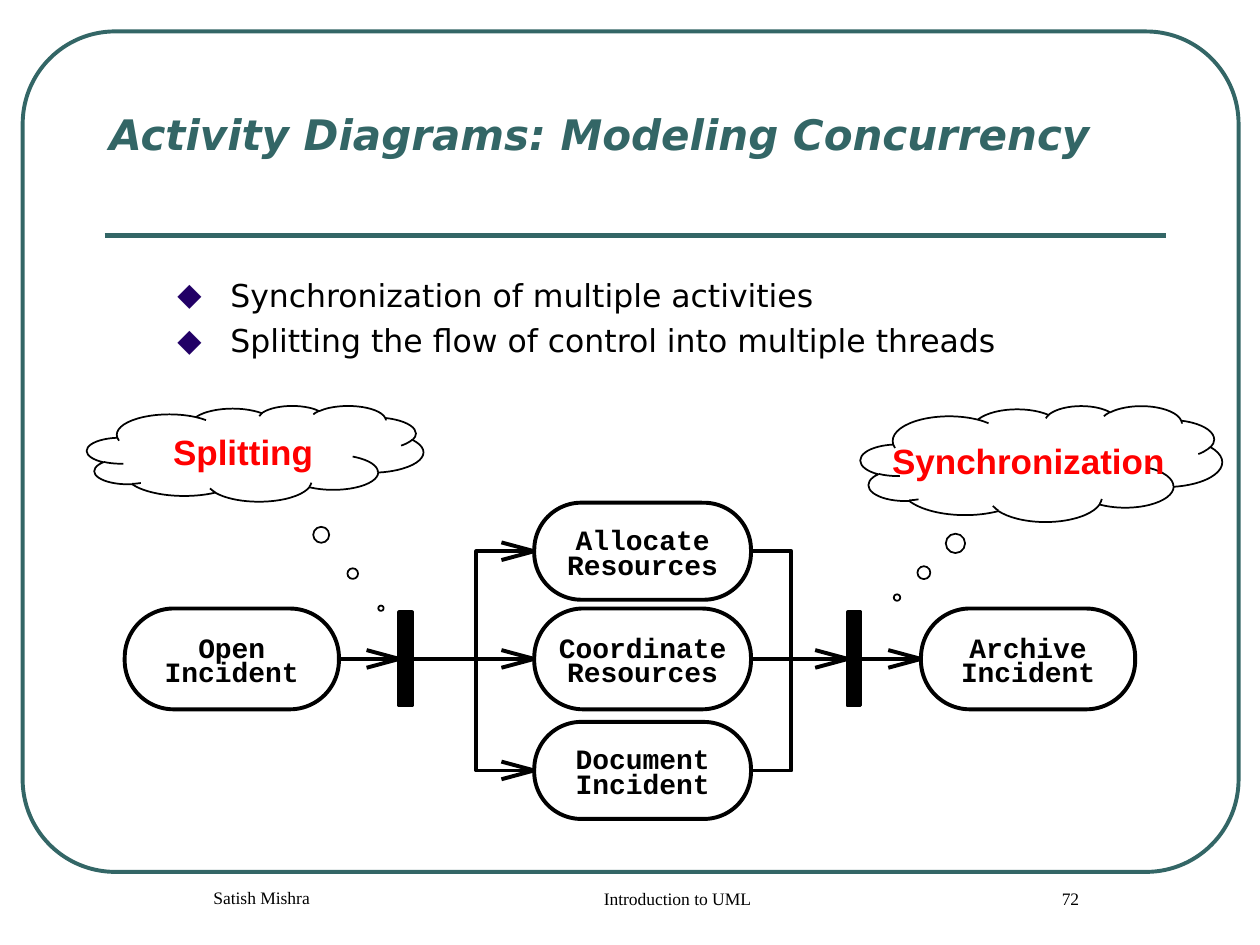
from lxml.etree import SubElement
from pptx import Presentation
from pptx.dml.color import RGBColor as RGB
from pptx.enum.shapes import MSO_CONNECTOR as CONN, MSO_SHAPE as SHAPE
from pptx.enum.text import MSO_ANCHOR as ANCHOR, PP_ALIGN as ALIGN
from pptx.oxml.ns import qn
from pptx.util import Inches, Pt

THEME = {
    "teal": RGB(0x33, 0x66, 0x66),
    "black": RGB(0, 0, 0),
    "white": RGB(255, 255, 255),
    "red": RGB(255, 0, 0),
    "bullet": "220066",
    "title": {"name": "DejaVu Sans", "size": Pt(24), "bold": True, "italic": True},
    "body": {"name": "DejaVu Sans", "size": Pt(18)},
    "cloud": {"name": "Arial", "size": Pt(20), "bold": True},
    "node": {"name": "Courier New", "size": Pt(16), "bold": True},
    "footer": {"name": "Times New Roman", "size": Pt(10)},
}


def style(s, line="black", width=2.25, fill=None):
    s.line.color.rgb = THEME[line]
    s.line.width = Pt(width)
    if hasattr(s, "fill"):
        s.shadow.inherit = False
        if fill:
            s.fill.solid()
            s.fill.fore_color.rgb = THEME[fill]
        else:
            s.fill.background()
    else:
        SubElement(s._element.spPr, qn("a:effectLst"))


def write(s, lines, kind, color="black", bullet=False, **frame):
    tf = s.text_frame
    layout = {"word_wrap": True, "vertical_anchor": ANCHOR.TOP, "align": ALIGN.LEFT} | frame
    align = layout.pop("align")
    spacing = layout.pop("line_spacing", None)
    for key, value in layout.items():
        setattr(tf, key, value)
    for i, line in enumerate(lines):
        p = tf.paragraphs[0] if i == 0 else tf.add_paragraph()
        p.alignment = align
        p.line_spacing = spacing
        if bullet:
            p.space_before = Pt(4.5 if i else 0)
            pPr = p._p.get_or_add_pPr()
            pPr.set("marL", str(Inches(0.42)))
            pPr.set("indent", str(-Inches(0.42)))
            color_el = SubElement(pPr, qn("a:buClr"))
            SubElement(color_el, qn("a:srgbClr"), val=THEME["bullet"])
            SubElement(pPr, qn("a:buFont"), typeface=THEME[kind]["name"])
            SubElement(pPr, qn("a:buChar"), char="◆")
        r = p.add_run()
        r.text = line
        for key, value in THEME[kind].items():
            setattr(r.font, key, value)
        r.font.color.rgb = THEME[color]


prs = Presentation()
prs.slide_width, prs.slide_height = Inches(10), Inches(7.5)
sp = prs.slides.add_slide(prs.slide_layouts[6]).shapes

frame = sp.add_shape(SHAPE.ROUNDED_RECTANGLE, Inches(0.18), Inches(0.25), Inches(9.65), Inches(6.67))
frame.adjustments[0] = 0.11
style(frame, "teal")
rule = sp.add_connector(CONN.STRAIGHT, Inches(0.83), Inches(1.87), Inches(9.25), Inches(1.87))
style(rule, "teal", 3)

title = sp.add_textbox(Inches(0.77), Inches(0.81), Inches(8.7), Inches(0.82))
write(title, ["Activity Diagrams: Modeling Concurrency"], "title", "teal")
body = sp.add_textbox(Inches(1.31), Inches(2.14), Inches(8.39), Inches(1))
write(body, ["Synchronization of multiple activities",
             "Splitting the flow of control into multiple threads"], "body", bullet=True)

for text, x, w, h, tip in [
    ("Synchronization", 6.83, 2.87, 0.92, (-0.399, 1.155)),
    ("Splitting", 0.69, 2.67, 0.76, (0.374, 1.616)),
]:
    s = sp.add_shape(SHAPE.CLOUD_CALLOUT, Inches(x), Inches(3.22), Inches(w), Inches(h))
    s.adjustments[0], s.adjustments[1] = tip
    style(s, width=1, fill="white")
    write(s, [text], "cloud", "red", align=ALIGN.CENTER, vertical_anchor=ANCHOR.MIDDLE, word_wrap=False)

nodes = {}
for first, second, x, y, w, h in [
    ("Open", "Incident", 0.99, 4.83, 1.7, 0.8),
    ("Allocate", "Resources", 4.24, 3.99, 1.72, 0.77),
    ("Coordinate", "Resources", 4.24, 4.83, 1.72, 0.8),
    ("Document", "Incident", 4.24, 5.73, 1.72, 0.77),
    ("Archive", "Incident", 7.31, 4.83, 1.7, 0.8),
]:
    s = sp.add_shape(SHAPE.ROUNDED_RECTANGLE, Inches(x), Inches(y), Inches(w), Inches(h))
    s.adjustments[0] = 0.485
    style(s, fill="white")
    write(s, [first, second], "node", align=ALIGN.CENTER, vertical_anchor=ANCHOR.MIDDLE,
          line_spacing=Pt(14), margin_left=0, margin_right=0, margin_top=Inches(0.08), margin_bottom=0)
    nodes[first] = s

for name, x in [("fork", 3.17), ("join", 6.73)]:
    s = sp.add_shape(SHAPE.RECTANGLE, Inches(x), Inches(4.86), Inches(0.1), Inches(0.74))
    style(s, fill="black")
    nodes[name] = s

for start, end in [("Open", "fork"), ("fork", "Coordinate"), ("Coordinate", "join"), ("join", "Archive")]:
    s = sp.add_connector(CONN.STRAIGHT, 0, 0, 0, 0)
    s.begin_connect(nodes[start], 3)
    s.end_connect(nodes[end], 1)
    style(s)

top, bottom = [nodes[name].top + nodes[name].height // 2 for name in ("Allocate", "Document")]
left = nodes["Allocate"].left
right = left + nodes["Allocate"].width
outlines = [
    [(side, top), (Inches(trunk), top), (Inches(trunk), bottom), (side, bottom)]
    for side, trunk in [(left, 3.78), (right, 6.28)]
]
for name in ("Allocate", "Coordinate", "Document", "fork", "join", "Archive"):
    tip, middle = nodes[name].left, nodes[name].top + nodes[name].height // 2
    back, half = tip - Inches(0.26), Inches(0.07)
    outlines.append([(back, middle - half), (tip, middle), (back, middle + half)])
for points in outlines:
    builder = sp.build_freeform(*points[0])
    builder.add_line_segments(points[1:], close=False)
    style(builder.convert_to_shape())

for text, x, y, w in [
    ("Introduction to UML", 3.67, 7, 3.17),
    ("72", 7.5, 7, 1.75),
    ("Satish Mishra", 0.83, 6.99, 2.25),
]:
    s = sp.add_textbox(Inches(x), Inches(y), Inches(w), Inches(0.5))
    write(s, [text], "footer", align=ALIGN.CENTER, margin_left=Inches(0.34))

prs.save("out.pptx")
